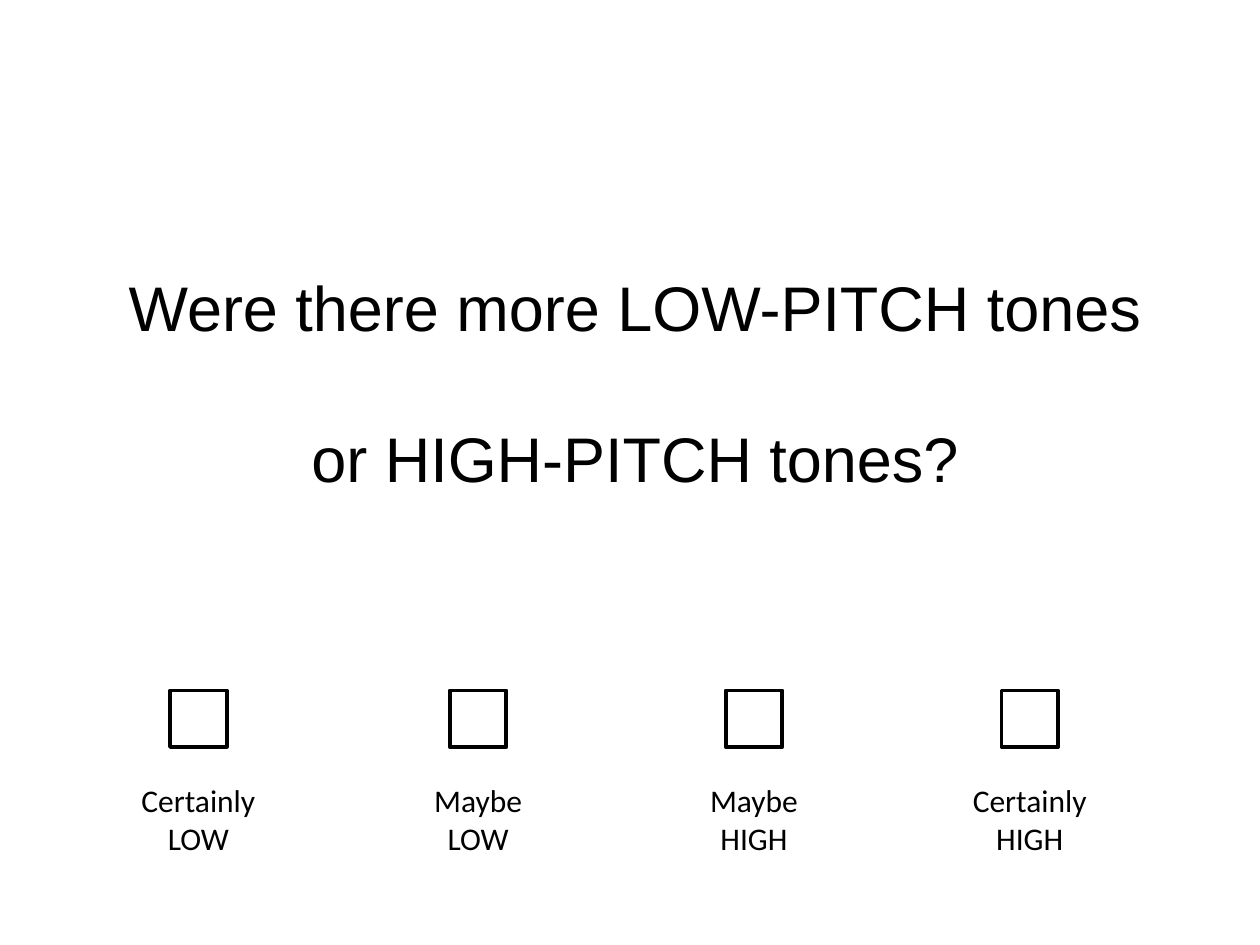
from pptx import Presentation
from pptx.dml.color import RGBColor
from pptx.enum.shapes import MSO_SHAPE
from pptx.enum.text import MSO_ANCHOR, MSO_AUTO_SIZE, PP_ALIGN
from pptx.util import Cm, Pt

BLACK = "000000"
ANSWERS = [
    ("Certainly\vLOW", 4.0),
    ("Maybe\vLOW", 9.64),
    ("Maybe\vHIGH", 15.2),
    ("Certainly\vHIGH", 20.76),
]


def rgb(color):
    """Turn a hex string into a colour."""
    return RGBColor.from_string(color)


def write(tf, text, font="Calibri", size=18, color=BLACK, spacing=1.0):
    """Fill a text frame with one centred paragraph."""
    tf.word_wrap = True
    tf.auto_size = MSO_AUTO_SIZE.NONE
    tf.vertical_anchor = MSO_ANCHOR.TOP
    p = tf.paragraphs[0]
    p.text = text
    p.alignment = PP_ALIGN.CENTER
    p.line_spacing = spacing
    for r in p.runs:
        r.font.name = font
        r.font.size = Pt(size)
        r.font.color.rgb = rgb(color)


def add_question(s, text, left, top, width, height):
    """Place the question in the title placeholder."""
    sp = s.shapes.title
    sp.left, sp.top, sp.width, sp.height = map(Cm, (left, top, width, height))
    write(sp.text_frame, text, font="Arial", size=36, spacing=2.0)


def add_answer(s, label, left, top, width, box=1.14, label_offset=1.7):
    """Draw a tick box centred above its two-line label."""
    sp = s.shapes.add_shape(MSO_SHAPE.RECTANGLE, Cm(left + (width - box) / 2),
                            Cm(top), Cm(box), Cm(box))
    sp.shadow.inherit = False
    sp.fill.background()
    sp.line.color.rgb = rgb(BLACK)
    sp.line.width = Pt(2.25)
    tb = s.shapes.add_textbox(Cm(left), Cm(top + label_offset), Cm(width), Cm(1.8))
    write(tb.text_frame, label)


def main():
    """Build the response slide."""
    prs = Presentation()
    prs.slide_width, prs.slide_height = Cm(25.4), Cm(19.05)
    s = prs.slides.add_slide(prs.slide_layouts[5])
    add_question(s, "Were there more LOW-PITCH tones or HIGH-PITCH tones?",
                 1.83, 3.76, 21.95, 6.0)
    width = 2.9
    for label, centre in ANSWERS:
        add_answer(s, label, centre - width / 2, 13.92, width)
    prs.save("out.pptx")


if __name__ == "__main__":
    main()
